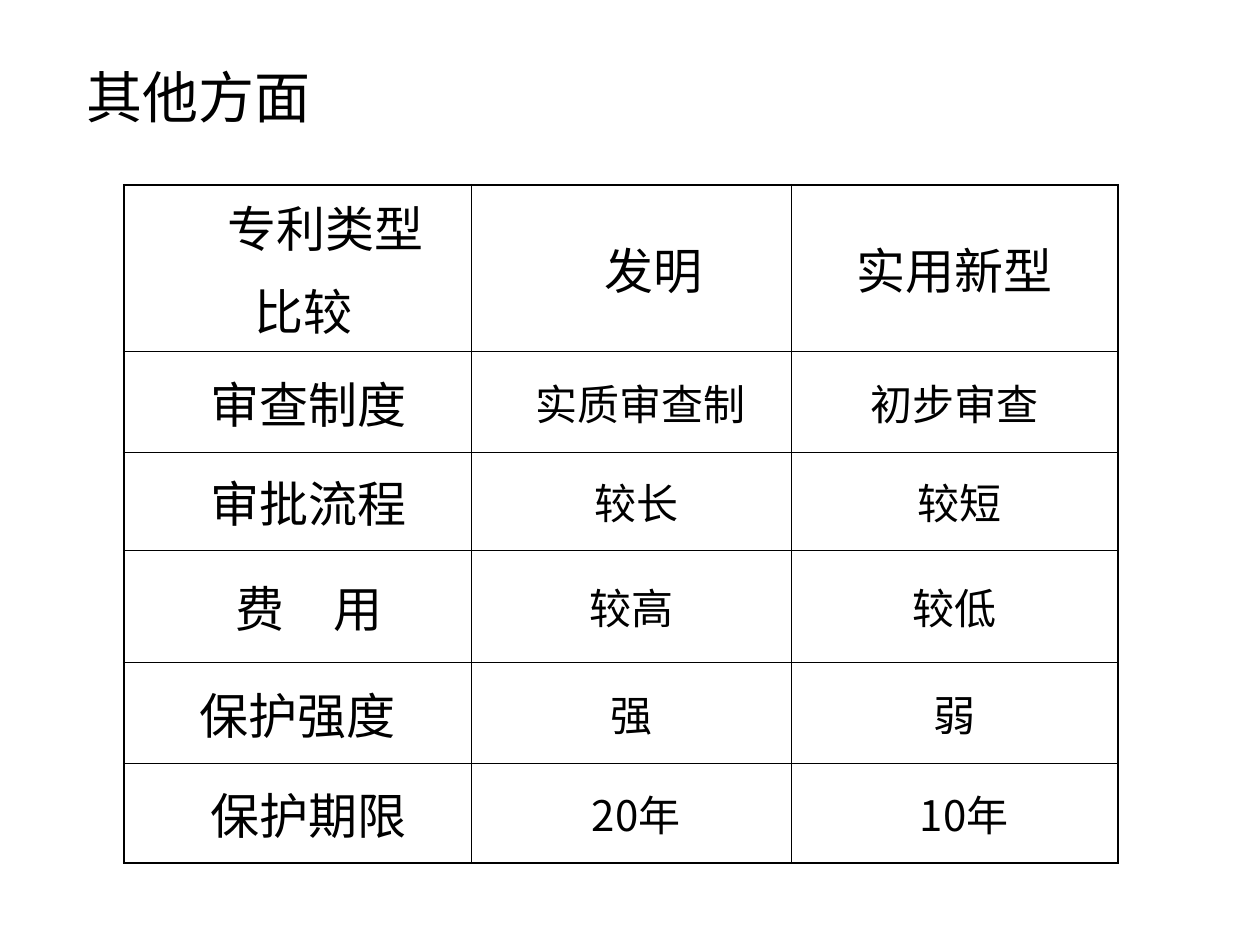
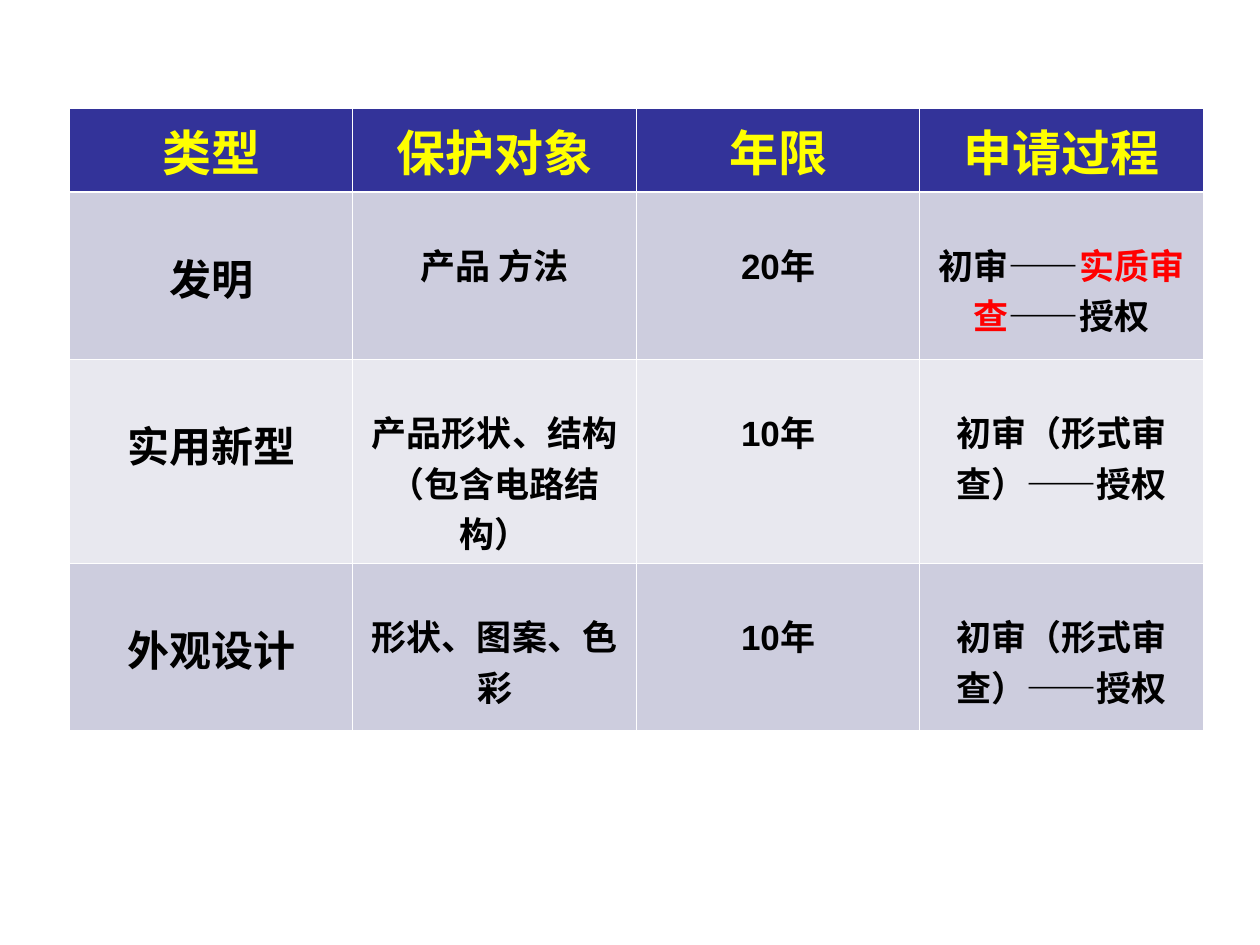
from dataclasses import dataclass
from typing import Optional

from lxml.etree import SubElement
from pptx import Presentation
from pptx.dml.color import RGBColor
from pptx.enum.text import MSO_ANCHOR as Anchor, PP_ALIGN as Align
from pptx.oxml.ns import qn
from pptx.slide import Slide
from pptx.util import Pt

COLORS = {
    "ink": "000000",
    "paper": "FFFFFF",
    "header": "333399",
    "header_text": "FFFF00",
    "band_dark": "CDCDDE",
    "band_light": "E8E8EF",
    "highlight": "FF0000",
}
SANS = "Noto Sans CJK SC"
ARIAL = "Arial"
THIN, THICK = 0.45, 1.47
SIDE_INSET, EDGE_INSET = 7.2, 3.6
SPACE_WIDTH = 0.224
ARIAL_LINE = 1.15


@dataclass(frozen=True)
class Piece:
    text: str
    color: str = "ink"


@dataclass(frozen=True)
class Line:
    pieces: tuple[Piece, ...]
    size: float
    font: str
    east_font: str = SANS
    bold: bool = False
    indent: float = 0
    space_before: float = 0
    align: Align = Align.CENTER


@dataclass(frozen=True)
class Entry:
    lines: tuple[Line, ...]
    anchor: Anchor = Anchor.TOP
    top_inset: float = EDGE_INSET
    fill: Optional[str] = None


@dataclass(frozen=True)
class Grid:
    left: float
    top: float
    columns: tuple[float, ...]
    rows: tuple[float, ...]
    entries: list[list[Entry]]
    rule_color: str
    outer_rule: float = THIN
    header_rule: float = THIN


def write_lines(frame, lines: tuple[Line, ...]) -> None:
    frame.word_wrap = True
    frame.text = "\n".join("".join(p.text for p in line.pieces) for line in lines)
    for paragraph, line in zip(frame.paragraphs, lines):
        paragraph.text = ""
        paragraph.alignment = line.align
        paragraph.space_before = Pt(line.space_before)
        if line.indent:
            paragraph._p.get_or_add_pPr().set("marL", str(Pt(line.indent)))
        for piece in line.pieces:
            run = paragraph.add_run()
            run.text = piece.text
            font = run.font
            font.name, font.size, font.bold = line.font, Pt(line.size), line.bold
            font.color.rgb = RGBColor.from_string(COLORS[piece.color])
            SubElement(run._r.get_or_add_rPr(), qn("a:ea"), typeface=line.east_font)


def rule_cell(cell, color: str, widths: dict[str, float]) -> None:
    properties = cell._tc.get_or_add_tcPr()
    for position, (side, width) in enumerate(widths.items()):
        rule = SubElement(properties, qn(f"a:ln{side}"), w=str(Pt(width)))
        solid = SubElement(rule, qn("a:solidFill"))
        SubElement(solid, qn("a:srgbClr"), val=COLORS[color])
        properties.insert(position, rule)


def draw_grid(slide: Slide, grid: Grid) -> None:
    last_row, last_column = len(grid.rows) - 1, len(grid.columns) - 1
    table = slide.shapes.add_table(
        last_row + 1, last_column + 1, Pt(grid.left), Pt(grid.top),
        Pt(sum(grid.columns)), Pt(sum(grid.rows)),
    ).table
    table.first_row = table.horz_banding = False
    for column, width in zip(table.columns, grid.columns):
        column.width = Pt(width)
    for row, height in zip(table.rows, grid.rows):
        row.height = Pt(height)
    for r, entries in enumerate(grid.entries):
        for c, entry in enumerate(entries):
            cell = table.cell(r, c)
            cell.margin_left = cell.margin_right = Pt(SIDE_INSET)
            cell.margin_top, cell.margin_bottom = Pt(entry.top_inset), Pt(EDGE_INSET)
            cell.vertical_anchor = entry.anchor
            if entry.fill:
                cell.fill.solid()
                cell.fill.fore_color.rgb = RGBColor.from_string(COLORS[entry.fill])
            else:
                cell.fill.background()
            write_lines(cell.text_frame, entry.lines)
            inner_top = grid.header_rule if r == 1 else THIN
            inner_bottom = grid.header_rule if r == 0 else THIN
            rule_cell(cell, grid.rule_color, {
                "L": grid.outer_rule if c == 0 else THIN,
                "R": grid.outer_rule if c == last_column else THIN,
                "T": grid.outer_rule if r == 0 else inner_top,
                "B": grid.outer_rule if r == last_row else inner_bottom,
            })


def comparison_line(text: str, size: float, shift: int, space_before: float = 0) -> Line:
    indent = round(shift * size * SPACE_WIDTH, 2)
    return Line((Piece(text),), size, SANS, indent=indent, space_before=space_before)


def comparison_entry(text: str, size: float, shift: int) -> Entry:
    return Entry((comparison_line(text, size, shift),), Anchor.MIDDLE)


def draw_comparison(slide: Slide) -> None:
    title = slide.shapes.add_textbox(Pt(42.5), Pt(32.2), Pt(612), Pt(324))
    heading = Line((Piece("其他方面"),), 32, ARIAL, east_font=ARIAL, align=Align.LEFT)
    write_lines(title.text_frame, (heading,))
    corner = Entry((
        comparison_line("专利类型", 28, 5),
        comparison_line("比较", 28, 1, space_before=6.7),
    ))
    aspects = [
        (("审查制度", 2), ("实质审查制", 2), ("初步审查", 0)),
        (("审批流程", 2), ("较长", 1), ("较短", 1)),
        (("费　用", 2), ("较高", 0), ("较低", 0)),
        (("保护强度", 0), ("强", 0), ("弱", 0)),
        (("保护期限", 2), ("20年", 1), ("10年", 2)),
    ]
    entries = [[corner, comparison_entry("发明", 28, 4), comparison_entry("实用新型", 28, 0)]]
    for aspect in aspects:
        entries.append([
            comparison_entry(text, 24 if c else 28, shift)
            for c, (text, shift) in enumerate(aspect)
        ])
    draw_grid(slide, Grid(
        70.9, 105.7, (198.5, 182.9, 186.7), (95, 57.8, 56, 64, 57.7, 57),
        entries, "ink", outer_rule=THICK,
    ))


def summary_entry(pieces: tuple[Piece, ...], size: float, fill: str) -> Entry:
    top_inset = EDGE_INSET + ARIAL_LINE * size
    return Entry((Line(pieces, size, ARIAL, bold=True),), top_inset=top_inset, fill=fill)


def draw_summary(slide: Slide) -> None:
    headings = ("类型", "保护对象", "年限", "申请过程")
    formal_review = (Piece("初审（形式审查）——授权"),)
    full_review = (Piece("初审——"), Piece("实质审查", "highlight"), Piece("——授权"))
    patents = [
        ("发明", "产品 方法", "20年", full_review),
        ("实用新型", "产品形状、结构（包含电路结构）", "10年", formal_review),
        ("外观设计", "形状、图案、色彩", "10年", formal_review),
    ]
    entries = [[
        Entry((Line((Piece(text, "header_text"),), 28, ARIAL, bold=True),), fill="header")
        for text in headings
    ]]
    for r, (kind, subject, term, process) in enumerate(patents):
        fill = "band_light" if r % 2 else "band_dark"
        entries.append([
            summary_entry((Piece(kind),), 24, fill),
            summary_entry((Piece(subject),), 20, fill),
            summary_entry((Piece(term),), 20, fill),
            summary_entry(process, 20, fill),
        ])
    draw_grid(slide, Grid(
        39.6, 62, (162,) * 4, (47.7, 95.5, 116.7, 95.5),
        entries, "paper", header_rule=THICK,
    ))


def main() -> None:
    deck = Presentation()
    deck.slide_width, deck.slide_height = Pt(720), Pt(540)
    blank = deck.slide_layouts[6]
    for draw in (draw_comparison, draw_summary):
        slide = deck.slides.add_slide(blank)
        slide.background.fill.solid()
        slide.background.fill.fore_color.rgb = RGBColor.from_string(COLORS["paper"])
        draw(slide)
    deck.save("out.pptx")


if __name__ == "__main__":
    main()
